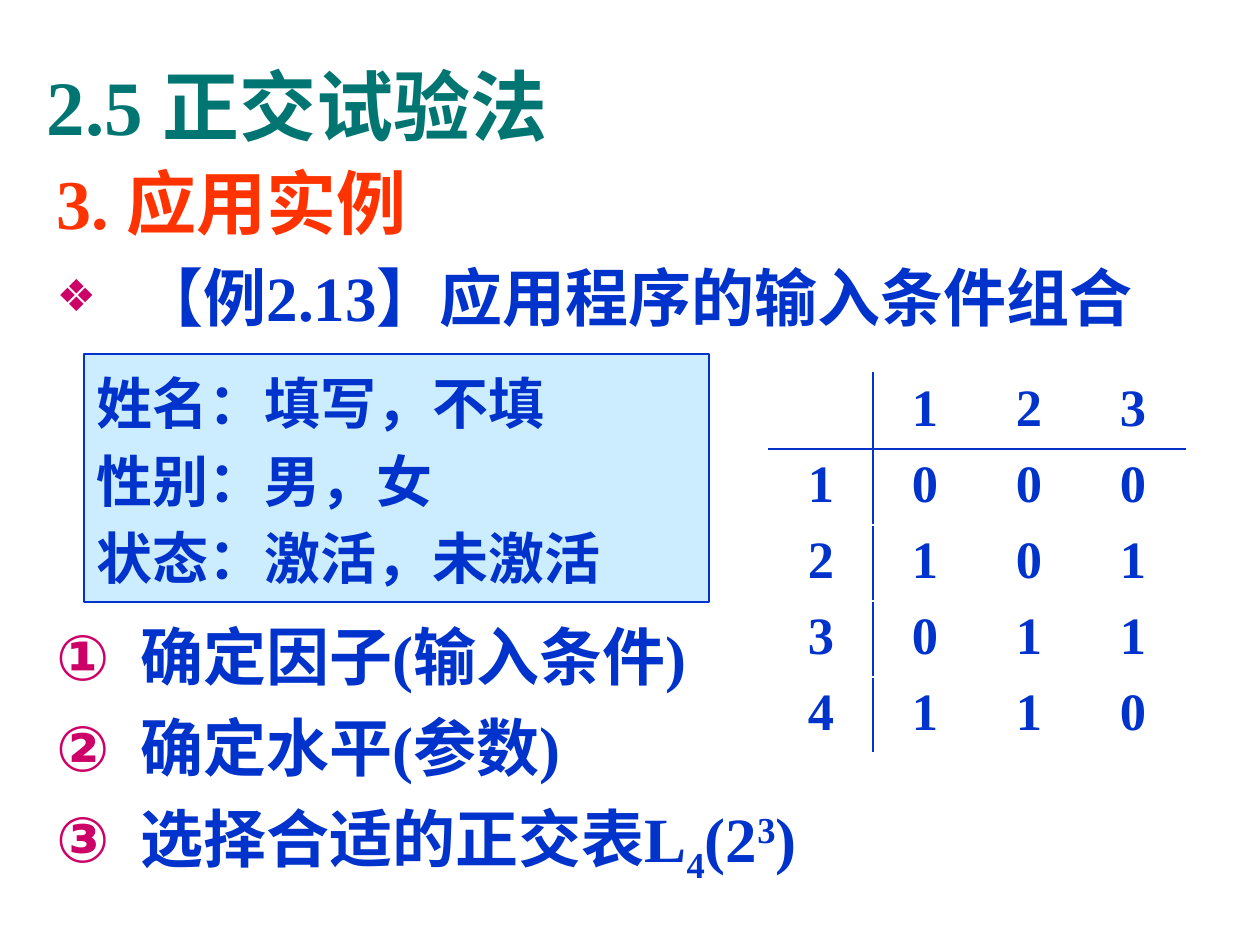
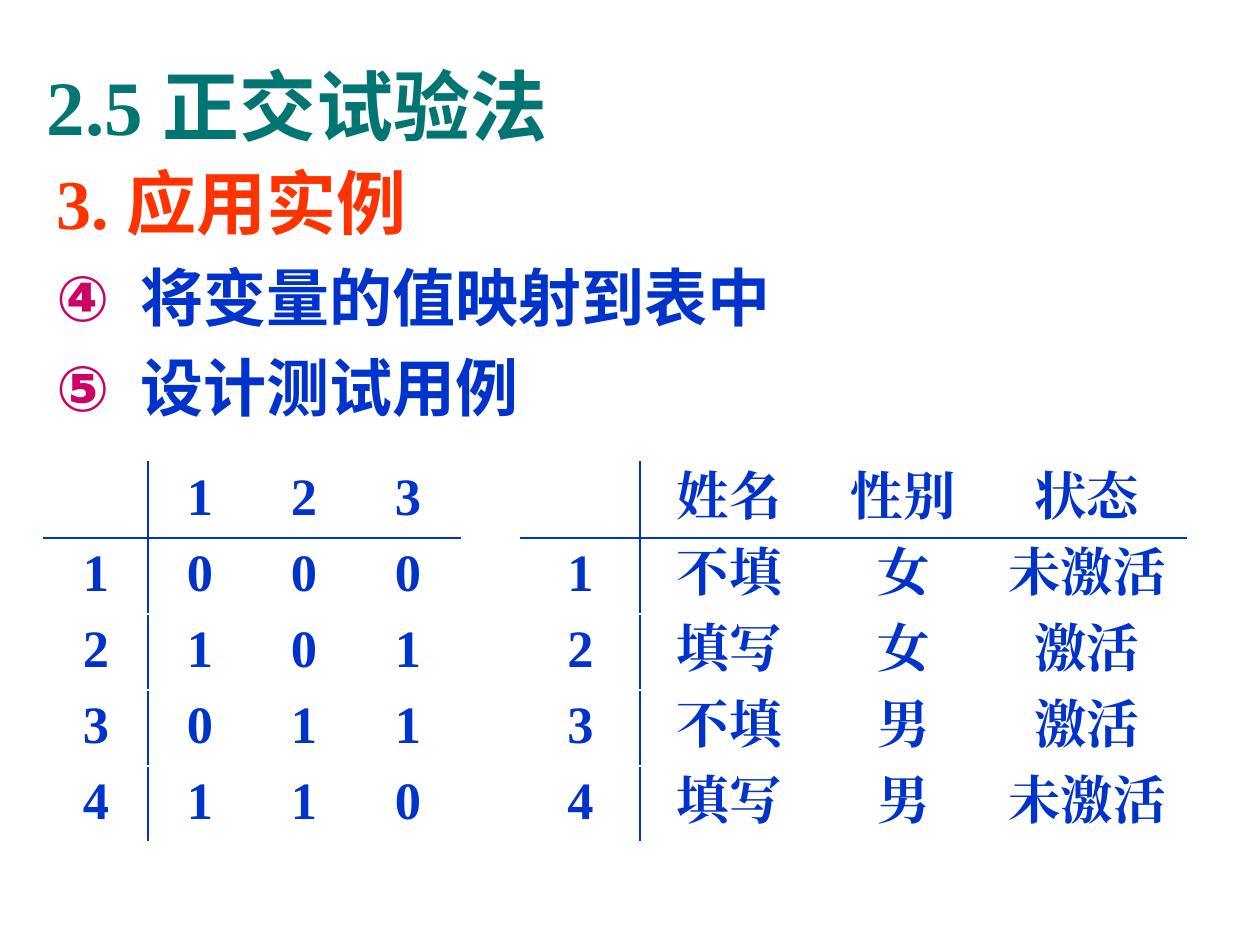
from lxml.etree import SubElement
from pptx import Presentation
from pptx.dml.color import RGBColor
from pptx.enum.shapes import MSO_SHAPE
from pptx.enum.text import MSO_ANCHOR, MSO_AUTO_SIZE, PP_ALIGN
from pptx.oxml.ns import qn
from pptx.util import Pt

PX = 914400 / 126
TEAL = RGBColor(0x00, 0x75, 0x72)
ORANGE = RGBColor(0xFF, 0x33, 0x00)
BLUE = RGBColor(0x00, 0x33, 0xCC)
PALE_BLUE = RGBColor(0xCC, 0xEC, 0xFF)
MAGENTA = RGBColor(0xCC, 0x00, 0x66)
SERIF, SANS = "Times New Roman", "Arial"
ROW_HEIGHT = 76

ORTHOGONAL_ARRAY = [
    ["", "1", "2", "3"],
    ["1", "0", "0", "0"],
    ["2", "1", "0", "1"],
    ["3", "0", "1", "1"],
    ["4", "1", "1", "0"],
]
TEST_CASES = [
    ["", "姓名", "性别", "状态"],
    ["1", "不填", "女", "未激活"],
    ["2", "填写", "女", "激活"],
    ["3", "不填", "男", "激活"],
    ["4", "填写", "男", "未激活"],
]


def px(*lengths):
    """Turn pixel lengths into EMU."""
    return [round(length * PX) for length in lengths]


def place(shape, *box):
    """Move and size a shape to a left, top, width, height box."""
    shape.left, shape.top, shape.width, shape.height = px(*box)


def add_run(paragraph, text, size, color, font=SANS, baseline=0):
    """Add one bold run, raised or lowered by a percentage."""
    run = paragraph.add_run()
    run.text = text
    run.font.size, run.font.bold, run.font.name = Pt(size), True, font
    run.font.color.rgb = color
    properties = run.font._element
    SubElement(properties, qn("a:ea"), typeface=font)
    if baseline:
        properties.set("baseline", str(baseline * 1000))


def next_paragraph(frame):
    """Return the empty first paragraph, or a new one after the others."""
    first = frame.paragraphs[0]
    return frame.add_paragraph() if first.runs else first


def set_spacing(paragraph, lines, before=2, after=2):
    """Set line spacing and the gaps around a paragraph."""
    paragraph.line_spacing = lines
    paragraph.space_before, paragraph.space_after = Pt(before), Pt(after)


def set_bullet(paragraph, tag, size=100, **attributes):
    """Give a paragraph a hanging indent and a coloured marker."""
    properties = paragraph._p.get_or_add_pPr()
    indent = px(84)[0]
    properties.set("marL", str(indent))
    properties.set("indent", str(-indent))
    if tag != "a:buNone":
        color = SubElement(properties, qn("a:buClr"))
        SubElement(color, qn("a:srgbClr"), val=str(MAGENTA))
        SubElement(properties, qn("a:buSzPct"), val=str(size * 1000))
        SubElement(properties, qn("a:buFont"), typeface=SANS)
    SubElement(properties, qn(tag), **attributes)


def add_item(body, runs, tag, before=2, size=100, **attributes):
    """Add a blue list item made of (text, font, baseline) runs."""
    item = next_paragraph(body)
    set_spacing(item, 1.1, before)
    set_bullet(item, tag, size, **attributes)
    for text, *style in runs:
        add_run(item, text, 36, BLUE, *style)


def add_step(body, runs, start=1, before=2):
    """Add a step with a circled number."""
    add_item(body, runs, "a:buAutoNum", before,
             type="circleNumDbPlain", startAt=str(start))


def add_section_slide(deck):
    """Add a slide with the shared title and heading; return it and its body."""
    slide = deck.slides.add_slide(deck.slide_layouts[1])
    title, content = slide.placeholders
    place(title, 34, 26, 1177, 158)
    place(content, 44, 145, 1181, 745)
    for frame in (title.text_frame, content.text_frame):
        frame.auto_size, frame.word_wrap = MSO_AUTO_SIZE.NONE, True
    title.text_frame.vertical_anchor = MSO_ANCHOR.MIDDLE
    name = title.text_frame.paragraphs[0]
    name.alignment = PP_ALIGN.LEFT
    add_run(name, "2.5 ", 44, TEAL, SERIF)
    add_run(name, "正交试验法", 44, TEAL)
    body = content.text_frame
    heading = next_paragraph(body)
    set_spacing(heading, 1.1)
    set_bullet(heading, "a:buNone")
    add_run(heading, "3. ", 40, ORANGE, SERIF)
    add_run(heading, "应用实例", 40, ORANGE)
    return slide, body


def add_conditions(slide, lines, *box):
    """Add the pale box that lists the input conditions."""
    conditions = slide.shapes.add_shape(MSO_SHAPE.RECTANGLE, *px(*box))
    conditions.shadow.inherit = False
    conditions.fill.solid()
    conditions.fill.fore_color.rgb = PALE_BLUE
    conditions.line.color.rgb = BLUE
    conditions.line.width = Pt(0.75)
    frame = conditions.text_frame
    frame.word_wrap, frame.vertical_anchor = True, MSO_ANCHOR.MIDDLE
    for line in lines:
        paragraph = next_paragraph(frame)
        paragraph.alignment = PP_ALIGN.LEFT
        set_spacing(paragraph, 1.05)
        add_run(paragraph, line, 32, BLUE)


def rule_cell(cell, row, column):
    """Draw the rules beside the first column and below the first row."""
    edges = {"a:lnL": column == 1, "a:lnR": column == 0,
             "a:lnT": row == 1, "a:lnB": row == 0}
    properties = cell._tc.get_or_add_tcPr()
    for position, tag in enumerate(tag for tag, ruled in edges.items() if ruled):
        edge = properties.makeelement(qn(tag), {"w": str(Pt(1))})
        fill = SubElement(edge, qn("a:solidFill"))
        SubElement(fill, qn("a:srgbClr"), val=str(BLUE))
        properties.insert(position, edge)


def add_grid(slide, rows, left, top, widths):
    """Add an open table with one vertical and one horizontal rule."""
    height = ROW_HEIGHT * len(rows)
    grid = slide.shapes.add_table(
        len(rows), len(widths), *px(left, top, sum(widths), height)).table
    grid.first_row = grid.horz_banding = False
    for column, width in zip(grid.columns, px(*widths)):
        column.width = width
    for r, values in enumerate(rows):
        for c, value in enumerate(values):
            cell = grid.cell(r, c)
            cell.fill.background()
            rule_cell(cell, r, c)
            if value:
                paragraph = cell.text_frame.paragraphs[0]
                paragraph.alignment = PP_ALIGN.CENTER
                add_run(paragraph, value, 30, BLUE, SERIF)


def add_example_slide(deck):
    """Build the slide with the example and its first three steps."""
    slide, body = add_section_slide(deck)
    add_item(body, [("【例", SANS), ("2.13", SERIF),
                    ("】应用程序的输入条件组合", SANS)],
             "a:buChar", size=70, char="❖")
    add_step(body, [("确定因子", SANS), ("(", SERIF),
                    ("输入条件", SANS), (")", SERIF)], before=156)
    add_step(body, [("确定水平", SANS), ("(", SERIF),
                    ("参数", SANS), (")", SERIF)])
    add_step(body, [("选择合适的正交表", SANS), ("L", SERIF), ("4", SERIF, -25),
                    ("(2", SERIF), ("3", SERIF, 30), (")", SERIF)])
    add_conditions(slide, ["姓名：填写，不填", "性别：男，女", "状态：激活，未激活"],
                   84, 354, 625, 248)
    add_grid(slide, ORTHOGONAL_ARRAY, 769, 373, [104] * 4)


def add_mapping_slide(deck):
    """Build the slide that maps values into test cases."""
    slide, body = add_section_slide(deck)
    for step in ("将变量的值映射到表中", "设计测试用例"):
        add_step(body, [(step, SANS)], start=4)
    add_grid(slide, TEST_CASES, 521, 462, [119, 179, 169, 198])
    add_grid(slide, ORTHOGONAL_ARRAY, 44, 462, [104] * 4)


def main():
    """Build and save the deck."""
    deck = Presentation()
    deck.slide_width, deck.slide_height = px(1260, 945)
    add_example_slide(deck)
    add_mapping_slide(deck)
    deck.save("out.pptx")


if __name__ == "__main__":
    main()
